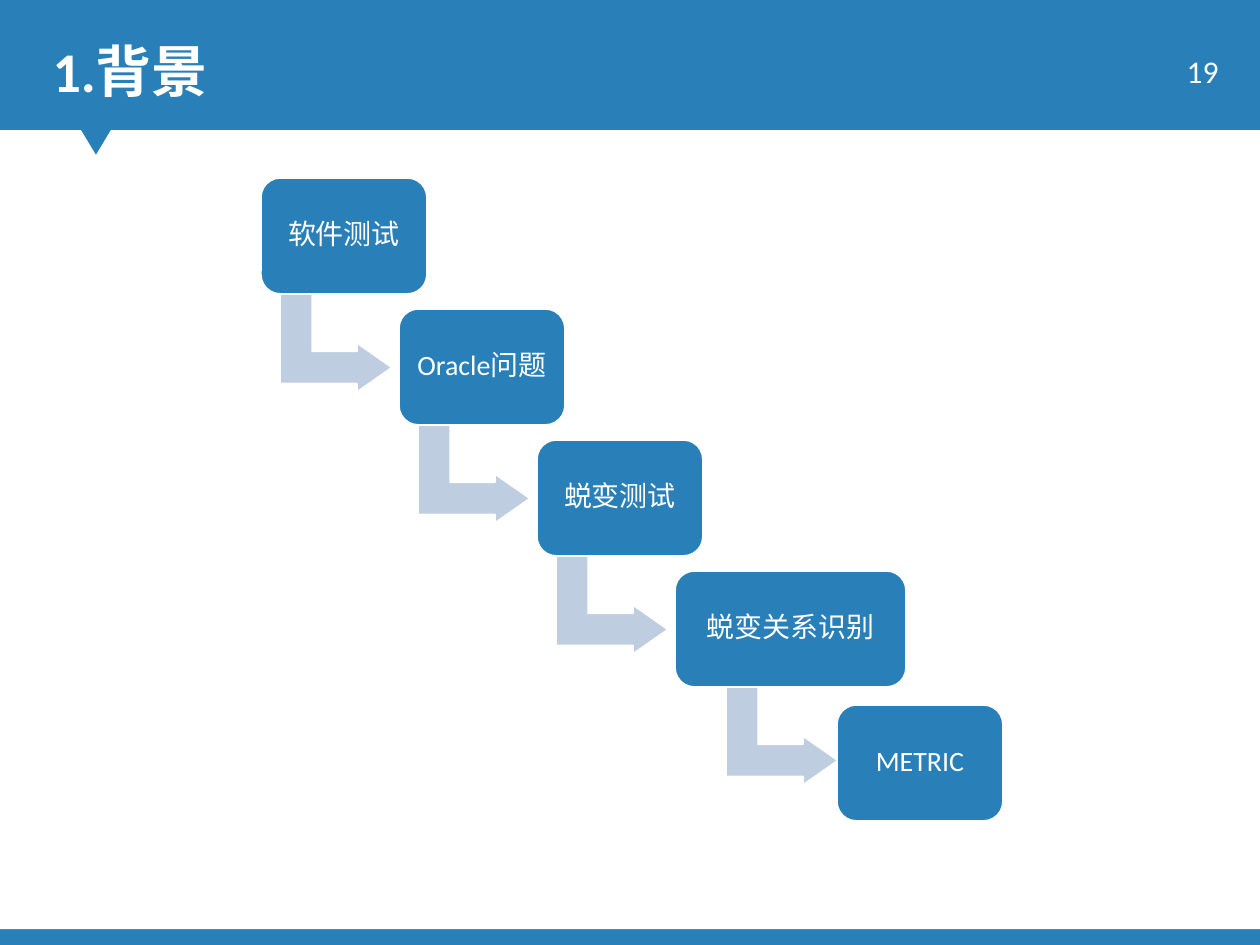
from dataclasses import dataclass

from pptx import Presentation
from pptx import util as u
from pptx.dml.color import RGBColor
from pptx.enum import shapes, text

PX = u.Inches(10) / 1260


@dataclass(frozen=True)
class Theme:
    blue: RGBColor = RGBColor(0x29, 0x80, 0xB9)
    pale: RGBColor = RGBColor(0xBE, 0xCD, 0xE0)
    white: RGBColor = RGBColor(0xFF, 0xFF, 0xFF)
    font: str = "Calibri"
    title: int = 32
    number: int = 18
    label: int = 16


THEME = Theme()


def px(*lengths):
    return [round(length * PX) for length in lengths]


def paint(shape, color, outlined=False):
    shape.shadow.inherit = False
    shape.fill.solid()
    shape.fill.fore_color.rgb = color
    if outlined:
        shape.line.color.rgb = THEME.white
        shape.line.width = u.Pt(1)
    else:
        shape.line.fill.background()


def write(shape, words, size, align, bold=False):
    frame = shape.text_frame
    frame.text = words
    frame.word_wrap = True
    frame.auto_size = text.MSO_AUTO_SIZE.NONE
    frame.vertical_anchor = text.MSO_ANCHOR.MIDDLE
    para = frame.paragraphs[0]
    para.alignment = align
    para.font.name = THEME.font
    para.font.size = u.Pt(size)
    para.font.bold = bold
    para.font.color.rgb = THEME.white
    return para


def add_backdrop(page, left, top, width, height):
    base = page.shapes.add_shape(
        shapes.MSO_SHAPE.RECTANGLE, *px(left, top, width, height))
    paint(base, THEME.blue)
    header, footer = top + 130, top + height - 16
    right = left + width
    builder = page.shapes.build_freeform(left, header, scale=PX)
    builder.add_line_segments([
        (left + 81, header), (left + 96, header + 25), (left + 111, header),
        (right, header), (right, footer), (left, footer)])
    paint(builder.convert_to_shape(), THEME.white)


def add_header(page, left, top, width, height, title, number):
    heading = page.shapes.title
    heading.left, heading.top, heading.width, heading.height = px(
        left + 40, top + 30, 978, 81)
    write(heading, title, THEME.title, text.PP_ALIGN.LEFT, bold=True)
    page.shapes._spTree.append(heading._element)
    counter = page.shapes.add_textbox(
        *px(left + width - 142, top + 39, 113, height - 67))
    write(counter, number, THEME.number, text.PP_ALIGN.RIGHT)


def add_arrow(page, left, top, width, height):
    arrow = page.shapes.add_shape(
        shapes.MSO_SHAPE.BENT_UP_ARROW, *px(left, top, width, height))
    arrow.rotation = 90
    for index, value in enumerate((0.328, 0.25, 0.358)):
        arrow.adjustments[index] = value
    paint(arrow, THEME.pale, outlined=True)


def add_step(page, left, top, width, height, label):
    box = page.shapes.add_shape(
        shapes.MSO_SHAPE.ROUNDED_RECTANGLE, *px(left, top, width, height))
    paint(box, THEME.blue, outlined=True)
    para = write(box, label, THEME.label, text.PP_ALIGN.CENTER)
    para.line_spacing = 0.9
    frame = box.text_frame
    frame.margin_left, frame.margin_top = px(9, 9)
    frame.margin_right, frame.margin_bottom = px(9, 9)


def add_staircase(page, left, top, steps):
    height = 116
    for index, (label, width, shift, drop) in enumerate(steps):
        x = left + index * 138 + shift
        y = top + index * 131 + drop
        if index < len(steps) - 1:
            add_arrow(page, x + (width - 114) // 2, y + height - 7, 98, 112)
        add_step(page, x, y, width, height, label)


def main():
    deck = Presentation()
    deck.slide_width, deck.slide_height = px(1260, 945)
    page = deck.slides.add_slide(deck.slide_layouts[5])
    add_backdrop(page, 0, 0, 1260, 945)
    add_header(page, 0, 0, 1260, 130, "1.背景", "19")
    add_staircase(page, 261, 178, [
        ("软件测试", 166, 0, 0),
        ("Oracle问题", 166, 0, 0),
        ("蜕变测试", 166, 0, 0),
        ("蜕变关系识别", 231, 0, 0),
        ("METRIC", 166, 24, 3),
    ])
    deck.save("out.pptx")


if __name__ == "__main__":
    main()
